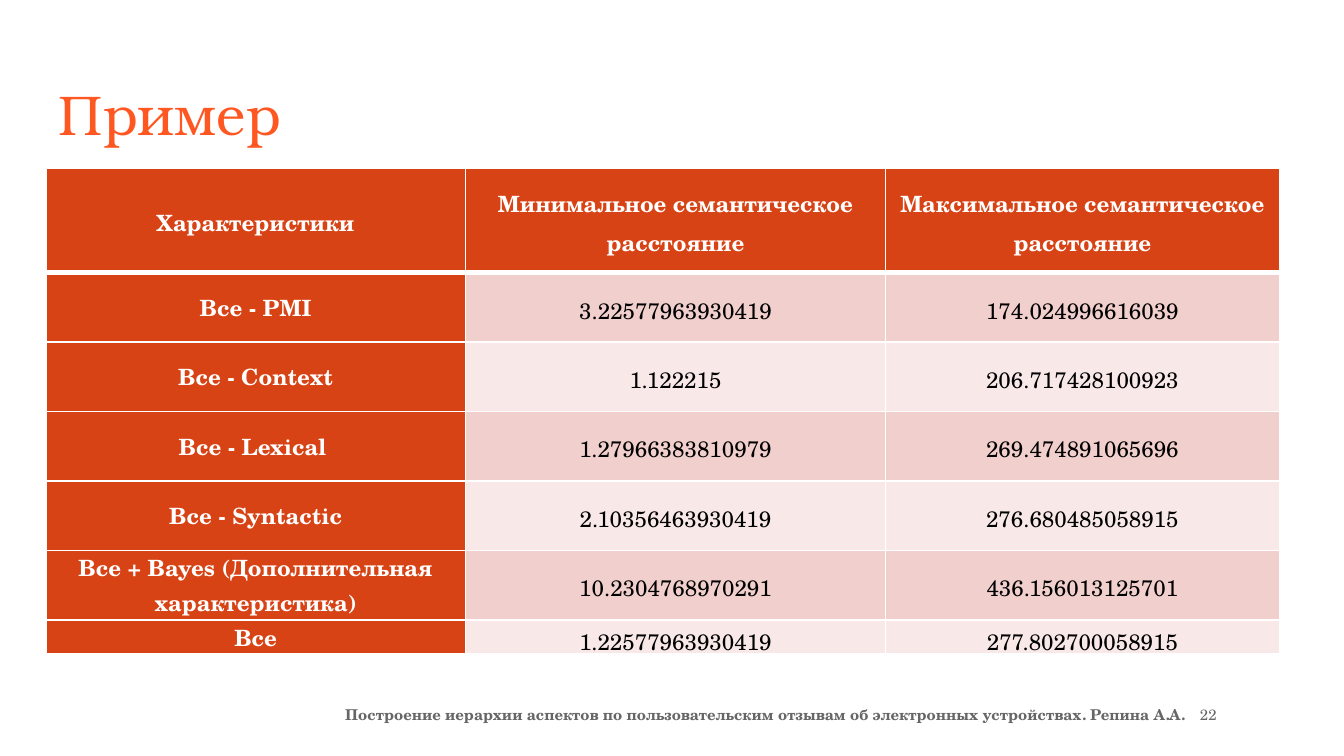
from lxml.etree import SubElement as Sub
from pptx import Presentation
from pptx.dml.color import RGBColor as RGB
from pptx.enum.text import MSO_ANCHOR as Anchor, PP_ALIGN as Align
from pptx.oxml.ns import qn
from pptx.util import Inches as In, Pt

WHITE = RGB(0xFF, 0xFF, 0xFF)
BLACK = RGB(0, 0, 0)
CORAL = RGB(0xFF, 0x57, 0x22)
RUST = RGB(0xD8, 0x43, 0x15)
ROSE = RGB(0xF0, 0xCF, 0xCC)
BLUSH = RGB(0xF8, 0xE9, 0xE8)
GREY = RGB(0x66, 0x66, 0x66)
SERIF = "TeX Gyre Schola"
BOOK = "TeX Gyre Bonum"

WIDE = 10
HIGH = WIDE * 9 / 16
COLS = (6.25 / 2, 6.25 / 2, 2.93)
ROWS = (0.78,) + (3.1 / 6,) * 5 + (0.25,)
DATA = (
    ("Характеристики", "Минимальное семантическое расстояние",
     "Максимальное семантическое расстояние"),
    ("Все - PMI", "3.22577963930419", "174.024996616039"),
    ("Все - Context", "1.122215", "206.717428100923"),
    ("Все - Lexical ", "1.27966383810979", "269.474891065696"),
    ("Все - Syntactic", "2.10356463930419", "276.680485058915"),
    ("Все + Bayes (Дополнительная характеристика)",
     "10.2304768970291", "436.156013125701"),
    ("Все", "1.22577963930419", "277.802700058915"),
)


def write(para, text, size=12, font=SERIF, color=BLACK, bold=False):
    """Add a formatted run to a paragraph."""
    run = para.add_run()
    run.text = text
    run.font.size = Pt(size)
    run.font.name = font
    run.font.bold = bold
    run.font.color.rgb = color


def frame(slide, box, anchor):
    """Add a wrapping text box and return its first paragraph."""
    text = slide.shapes.add_textbox(*map(In, box)).text_frame
    text.word_wrap = True
    text.vertical_anchor = anchor
    text.margin_left = text.margin_right = In(0.1)
    text.margin_top = text.margin_bottom = In(0.1)
    return text.paragraphs[0]


def title(slide, box):
    """Place the slide title."""
    write(frame(slide, box, Anchor.TOP), "Пример",
          size=30, font=BOOK, color=CORAL)


def footer(slide, box):
    """Place the running line and the page number."""
    para = frame(slide, box, Anchor.MIDDLE)
    tabs = Sub(para._p.get_or_add_pPr(), qn("a:tabLst"))
    Sub(tabs, qn("a:tab"), pos=str(In(6.36)), algn="l")
    write(para, "Построение иерархии аспектов по пользовательским отзывам "
          "об электронных устройствах. Репина А.А.",
          size=8, color=GREY, bold=True)
    write(para, "\t22", size=8, color=GREY)


def edge(cell, side, width):
    """Draw one white border of a cell."""
    line = Sub(cell._tc.get_or_add_tcPr(), qn("a:" + side), w=str(Pt(width)))
    fill = Sub(line, qn("a:solidFill"))
    Sub(fill, qn("a:srgbClr"), val=str(WHITE))


def fill_cell(cell, text, row, col):
    """Style one cell by its row and column."""
    head = row == 0 or col == 0
    for side in ("lnL", "lnR", "lnT", "lnB"):
        thick = (row, side) in ((0, "lnB"), (1, "lnT"))
        edge(cell, side, 3 if thick else 1)
    cell.fill.solid()
    cell.fill.fore_color.rgb = RUST if head else ROSE if row % 2 else BLUSH
    cell.vertical_anchor = Anchor.MIDDLE
    cell.margin_left = cell.margin_right = In(0.07)
    cell.margin_top = cell.margin_bottom = 0
    para = cell.text_frame.paragraphs[0]
    para.alignment = Align.CENTER
    para.line_spacing = 1.0 if row and col == 0 else 1.15
    write(para, text, color=WHITE if head else BLACK, bold=head)


def grid(slide, box):
    """Place the table of distances."""
    table = slide.shapes.add_table(
        len(ROWS), len(COLS), *map(In, box)).table
    for col, width in zip(table.columns, COLS):
        col.width = In(width)
    for r, (high, texts) in enumerate(zip(ROWS, DATA)):
        table.rows[r].height = In(high)
        for c, text in enumerate(texts):
            fill_cell(table.cell(r, c), text, r, c)


def main():
    """Build and save the slide."""
    deck = Presentation()
    deck.slide_width, deck.slide_height = In(WIDE), In(HIGH)
    slide = deck.slides.add_slide(deck.slide_layouts[6])
    title(slide, (0.34, 0.49, 9.32, 0.63))
    footer(slide, (2.47, 5.1, 7.39, 0.43))
    grid(slide, (0.34, 1.25, sum(COLS), sum(ROWS)))
    deck.save("out.pptx")


if __name__ == "__main__":
    main()
